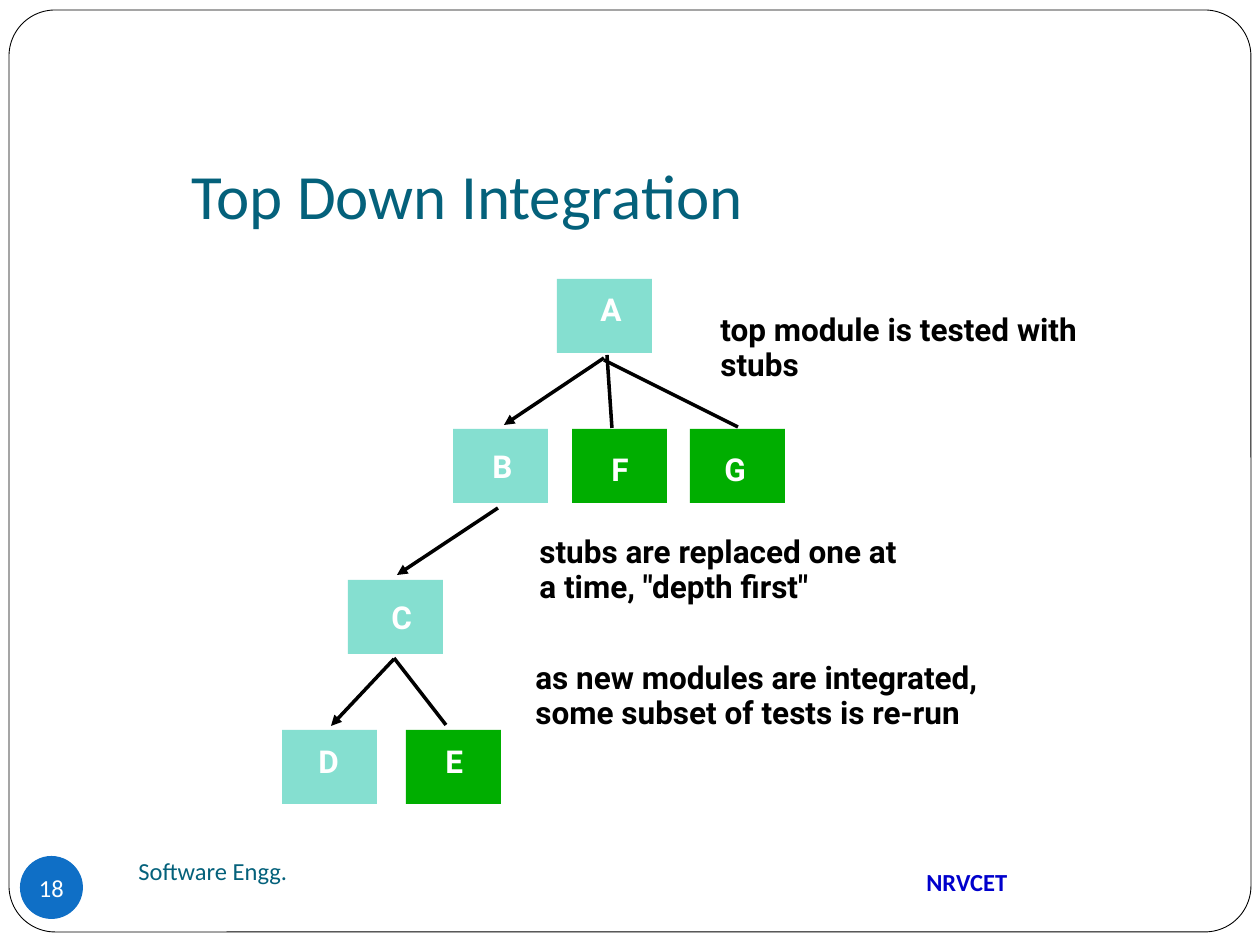
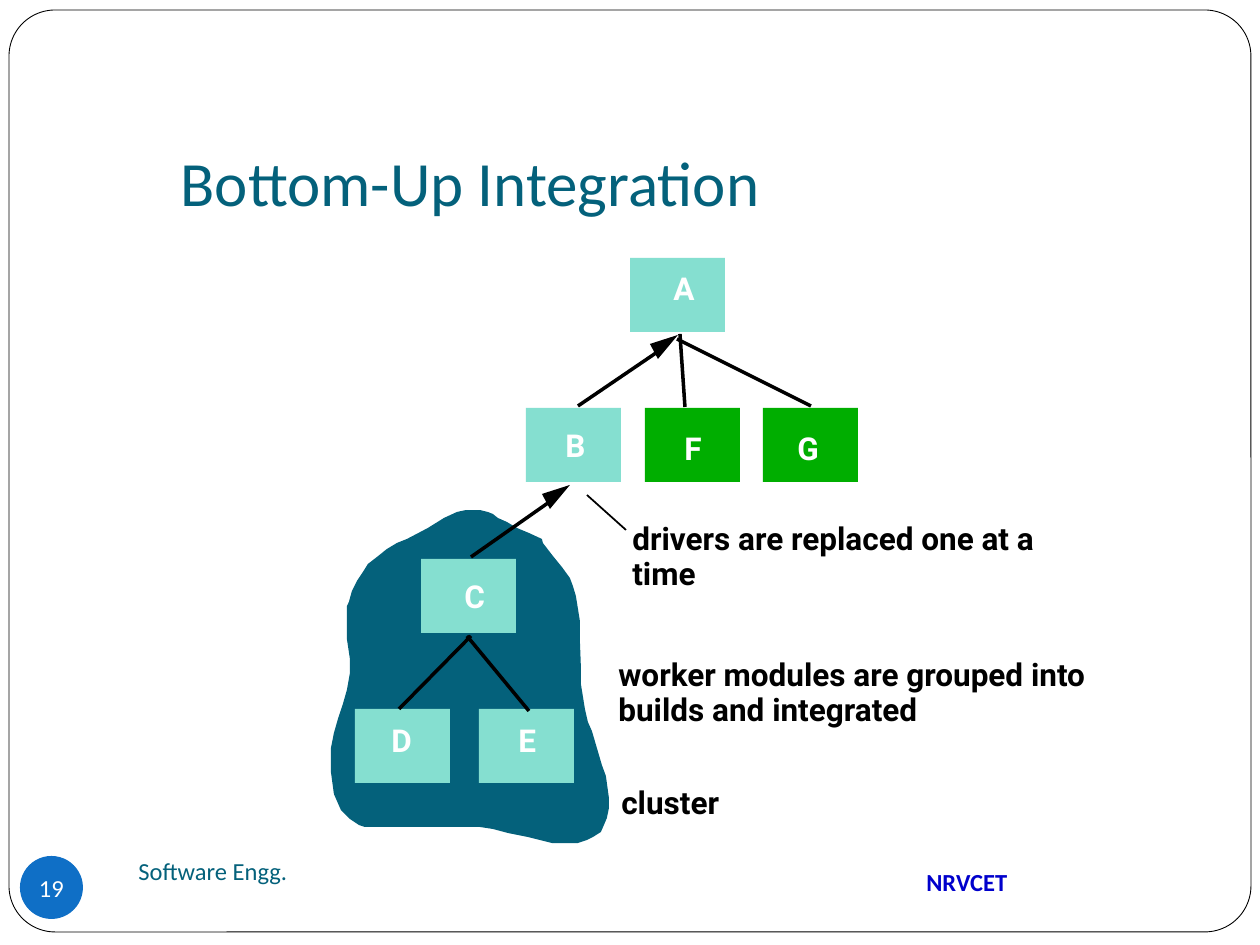
from dataclasses import dataclass

from lxml import etree
from pptx import Presentation
from pptx.dml.color import RGBColor
from pptx.enum.shapes import MSO_CONNECTOR, MSO_SHAPE
from pptx.enum.text import MSO_ANCHOR, MSO_AUTO_SIZE, PP_ALIGN
from pptx.oxml.ns import qn
from pptx.util import Inches, Pt

LEFT, CENTER = PP_ALIGN.LEFT, PP_ALIGN.CENTER
TOP, MIDDLE = MSO_ANCHOR.TOP, MSO_ANCHOR.MIDDLE
NO_AUTOFIT = MSO_AUTO_SIZE.NONE
STRAIGHT = MSO_CONNECTOR.STRAIGHT
RECTANGLE, OVAL = MSO_SHAPE.RECTANGLE, MSO_SHAPE.OVAL
ROUNDED = MSO_SHAPE.ROUNDED_RECTANGLE

PX = 7257  # EMU in one px, 126 px to the inch
TITLE_ONLY = 5


@dataclass(frozen=True)
class Theme:
    ink: RGBColor = RGBColor(0x00, 0x00, 0x00)
    paper: RGBColor = RGBColor(0xFF, 0xFF, 0xFF)
    teal: RGBColor = RGBColor(0x04, 0x61, 0x7B)
    mint: RGBColor = RGBColor(0x85, 0xDF, 0xD0)
    green: RGBColor = RGBColor(0x00, 0xAE, 0x00)
    badge: RGBColor = RGBColor(0x0F, 0x6F, 0xC6)
    college: RGBColor = RGBColor(0x00, 0x00, 0xCC)
    title_size: int = Pt(36)
    diagram_size: int = Pt(18)
    footer_size: int = Pt(14)
    link_width: int = Pt(2)
    thin_width: int = Pt(1)
    frame_width: int = Pt(0.5)


theme = Theme()
TITLE = {"name": "Calibri", "size": theme.title_size, "bold": False}
DIAGRAM = {"name": "Roboto", "size": theme.diagram_size, "bold": True}
FOOTER = {"name": "Calibri", "size": theme.footer_size, "bold": False}
FOOTER_BOLD = {**FOOTER, "bold": True}


def px(*lengths):
    return [length * PX for length in lengths]


def write(shape, text, font_format, color, alignment=LEFT, anchor=TOP):
    """Fill the shape with one formatted paragraph that keeps the shape's size."""
    frame = shape.text_frame
    frame_format = {"word_wrap": True, "auto_size": NO_AUTOFIT, "vertical_anchor": anchor}
    for name, value in frame_format.items():
        setattr(frame, name, value)
    paragraph = frame.paragraphs[0]
    paragraph.alignment = alignment
    run = paragraph.add_run()
    run.text = text
    for name, value in font_format.items():
        setattr(run.font, name, value)
    run.font.color.rgb = color


# The module tree: box corner and label corner of each module
BOX_SIZE = (95, 74)
MODULES = {
    "A": ((557, 279), (588, 284)),
    "B": ((453, 429), (480, 441)),
    "C": ((348, 580), (379, 592)),
    "D": ((282, 730), (306, 736)),
    "E": ((406, 730), (433, 736)),
    "F": ((572, 429), (599, 444)),
    "G": ((690, 429), (712, 444)),
}
TREE_LINKS = [((607, 355), (612, 428)), ((604, 360), (738, 427))]
LABEL_SIZE = (49, 50)
NOTE_HEIGHT = 50
NOTE_PITCH = 35

ARROWHEAD = [(0, 0), (-20, 24), (-28, 9)]
ARROW_TIPS = [(678, 335), (570, 485)]
CLUSTER = [
    (542, 539), (529, 533), (517, 528), (507, 522), (498, 518), (493, 514),
    (488, 512), (480, 510), (466, 510), (457, 512), (444, 518), (428, 528),
    (407, 539), (397, 543), (387, 549), (377, 557), (368, 564), (363, 572),
    (357, 581), (352, 591), (349, 602), (347, 606), (347, 639), (350, 659),
    (350, 673), (347, 690), (343, 704), (338, 719), (334, 733), (331, 748),
    (331, 772), (334, 794), (341, 810), (350, 819), (359, 825), (365, 827),
    (480, 827), (493, 829), (508, 833), (528, 837), (552, 843), (578, 843),
    (587, 840), (593, 837), (601, 832), (604, 825), (607, 818), (609, 808),
    (609, 798), (606, 776), (602, 765), (592, 731), (588, 722), (585, 709),
    (581, 684), (581, 667), (580, 641), (580, 621), (576, 596), (573, 586),
    (570, 578), (562, 567), (553, 556), (543, 543),
]

# Links are (start, end, width, has arrowhead); notes are (left, top, [(line, width)])
SLIDES = [
    {
        "number": "18",
        "title": "Top Down Integration",
        "title_box": (179, 158, 730, 72),
        "tree_shift": (0, 0),
        "stubs": "EFG",
        "outlines": [],
        "links": [
            ((394, 658), (446, 725), theme.link_width, False),
            ((604, 358), (504, 425), theme.link_width, True),
            ((498, 508), (397, 575), theme.link_width, True),
            ((394, 659), (331, 726), theme.link_width, True),
        ],
        "notes": [
            (708, 304, [("top module is tested with", 412), ("stubs", 108)]),
            (527, 526, [("stubs are replaced one at", 413),
                        ('a time, "depth first"', 318)]),
            (523, 652, [("as new modules are integrated,", 503),
                        ("some subset of tests is re-run", 474)]),
        ],
    },
    {
        "number": "19",
        "title": "Bottom-Up Integration",
        "title_box": (168, 147, 779, 69),
        "tree_shift": (73, -21),
        "stubs": "FG",
        "outlines": [(CLUSTER, theme.teal)] + [
            ([(tip_x + x, tip_y + y) for x, y in ARROWHEAD], theme.ink)
            for tip_x, tip_y in ARROW_TIPS
        ],
        "links": [
            ((656, 353), (578, 406), theme.link_width, False),
            ((548, 503), (471, 557), theme.link_width, False),
            ((471, 636), (399, 709), theme.link_width, False),
            ((467, 636), (529, 711), theme.link_width, False),
            ((587, 495), (626, 530), theme.thin_width, False),
        ],
        "notes": [
            (620, 513, [("drivers are replaced one at a", 461), ("time", 91)]),
            (606, 649, [("worker modules are grouped into", 533),
                        ("builds and integrated", 344)]),
            (609, 777, [("cluster", 163)]),
        ],
    },
]

presentation = Presentation()
presentation.slide_width, presentation.slide_height = Inches(10), Inches(7.5)

for content in SLIDES:
    slide = presentation.slides.add_slide(presentation.slide_layouts[TITLE_ONLY])
    shapes = slide.shapes
    shift_x, shift_y = content["tree_shift"]

    # The page frame is made on the first slide and moved to the master
    if content is SLIDES[0]:
        frame = shapes.add_shape(ROUNDED, *px(9, 10, 1242, 922))
        frame.adjustments[0] = 0.05
        frame.shadow.inherit = False
        frame.fill.solid()
        frame.fill.fore_color.rgb = theme.paper
        frame.line.color.rgb = theme.ink
        frame.line.width = theme.frame_width
        frame._element.nvSpPr.cNvPr.set("id", "99")
        presentation.slide_master.shapes._spTree.insert(2, frame._element)

    title = shapes.title
    for name, length in zip(("left", "top", "width", "height"), px(*content["title_box"])):
        setattr(title, name, length)
    write(title, content["title"], TITLE, theme.teal, anchor=MIDDLE)

    # Solid areas: outlines, module boxes and the number badge
    areas = []
    for points, color in content["outlines"]:
        builder = shapes.build_freeform(*points[0], scale=PX)
        builder.add_line_segments(points[1:], close=True)
        areas.append((builder.convert_to_shape(), color))
    for module, ((x, y), _) in MODULES.items():
        box = shapes.add_shape(RECTANGLE, *px(x + shift_x, y + shift_y, *BOX_SIZE))
        areas.append((box, theme.green if module in content["stubs"] else theme.mint))
    badge = shapes.add_shape(OVAL, *px(20, 856, 63, 63))
    areas.append((badge, theme.badge))
    for area, color in areas:
        area.shadow.inherit = False
        area.fill.solid()
        area.fill.fore_color.rgb = color
        area.line.fill.background()

    # Links between modules
    links = [
        ((x1 + shift_x, y1 + shift_y), (x2 + shift_x, y2 + shift_y), theme.link_width, False)
        for (x1, y1), (x2, y2) in TREE_LINKS
    ]
    for start, end, width, has_arrowhead in links + content["links"]:
        link = shapes.add_connector(STRAIGHT, *px(*start, *end))
        link.line.color.rgb = theme.ink
        link.line.width = width
        if has_arrowhead:
            etree.SubElement(link.line._get_or_add_ln(), qn("a:tailEnd"), type="triangle")
        etree.SubElement(link._element.spPr, qn("a:effectLst"))

    # Notes and module letters
    for left, top, lines in content["notes"]:
        for index, (line, width) in enumerate(lines):
            note = shapes.add_textbox(*px(left, top + index * NOTE_PITCH, width, NOTE_HEIGHT))
            write(note, line, DIAGRAM, theme.ink)
    for module, (_, (x, y)) in MODULES.items():
        label = shapes.add_textbox(*px(x + shift_x, y + shift_y, *LABEL_SIZE))
        write(label, module, DIAGRAM, theme.paper)

    # Footer
    for side in ("left", "right", "top", "bottom"):
        setattr(badge.text_frame, f"margin_{side}", 0)
    write(badge, content["number"], FOOTER, theme.paper, CENTER, MIDDLE)
    course = shapes.add_textbox(*px(126, 850, 546, 63))
    write(course, "Software Engg.", FOOTER, theme.teal)
    college = shapes.add_textbox(*px(914, 861, 242, 43))
    write(college, "NRVCET", FOOTER_BOLD, theme.college)

presentation.save("out.pptx")
